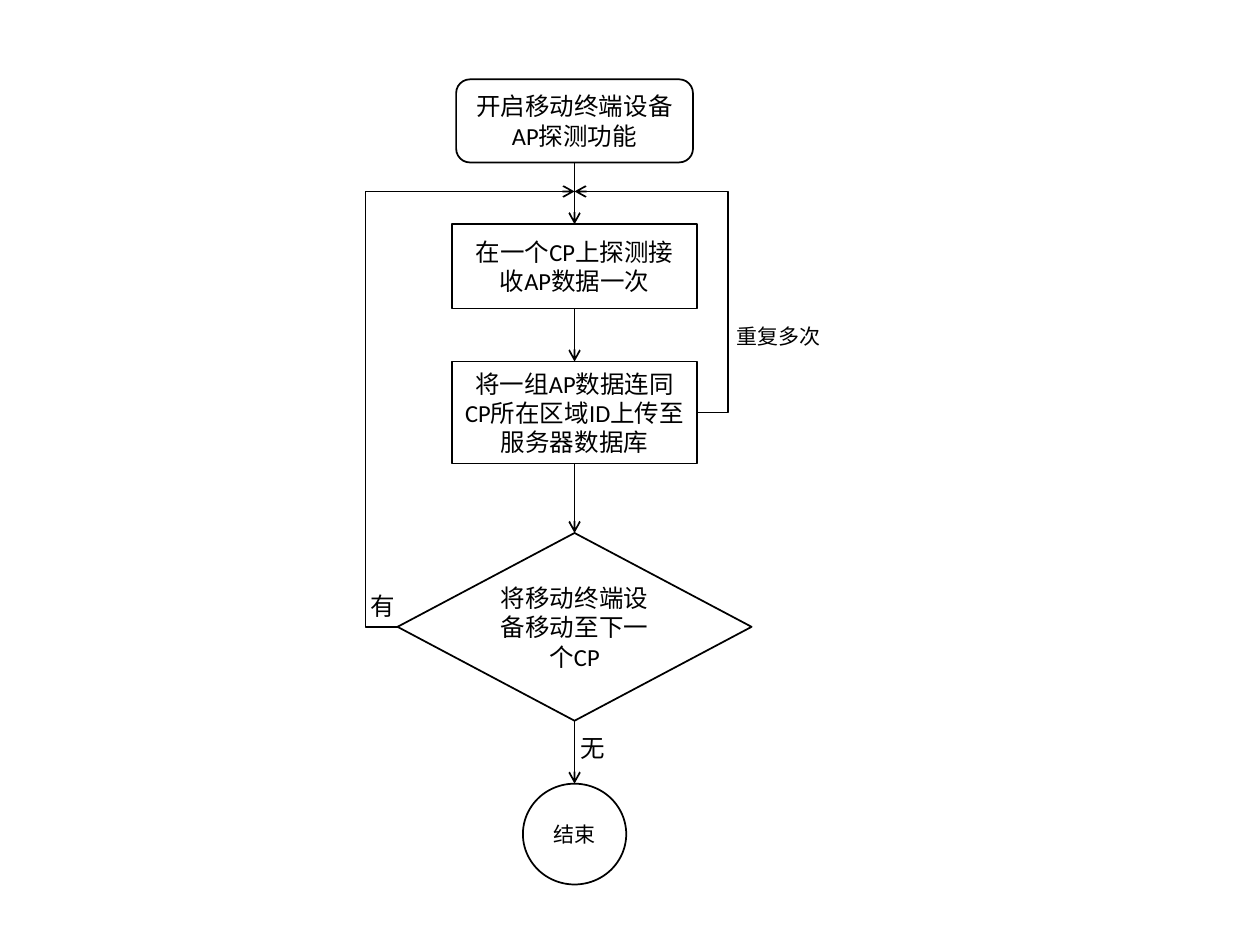
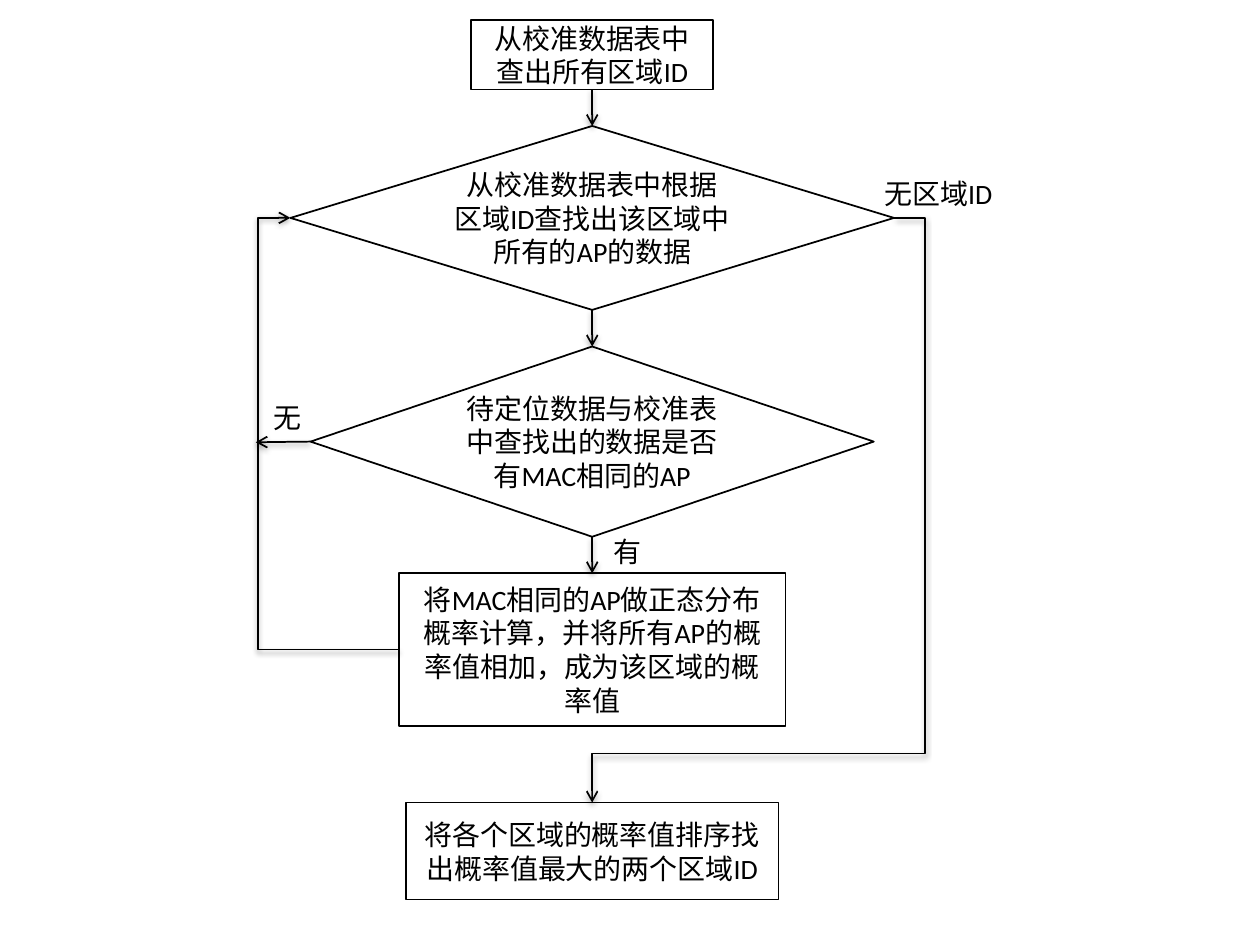
from dataclasses import dataclass
from typing import Optional

from lxml import etree
from pptx import Presentation
from pptx.dml.color import RGBColor
from pptx.enum import shapes, text
from pptx.oxml import ns
from pptx.util import Inches, Pt

COLORS = {"ink": "000000", "paper": "FFFFFF"}
FONT = "Calibri"
KINDS = shapes.MSO_SHAPE
TOP, LEFT, BOTTOM, RIGHT = range(4)


@dataclass(frozen=True)
class Step:
    key: str
    kind: shapes.MSO_SHAPE
    top: float
    width: float
    height: float
    words: str
    size: int


@dataclass(frozen=True)
class Label:
    left: float
    top: float
    width: float
    height: float
    words: str
    size: int


@dataclass(frozen=True)
class Flow:
    start: str
    start_site: int
    end: Optional[str] = None
    end_site: int = TOP
    point: tuple[float, float] = (0, 0)
    bend_x: Optional[float] = None
    bend_y: Optional[float] = None


@dataclass(frozen=True)
class Chart:
    center: float
    shadow: bool
    steps: list[Step]
    flows: list[Flow]
    labels: list[Label]


def color(key: str) -> RGBColor:
    return RGBColor.from_string(COLORS[key])


def write(frame, words: str, *, size: int, align, anchor) -> None:
    frame.word_wrap = True
    frame.vertical_anchor = anchor
    paragraph = frame.paragraphs[0]
    paragraph.alignment = align
    run = paragraph.add_run()
    run.text = words
    run.font.name = FONT
    run.font.size = Pt(size)
    run.font.color.rgb = color("ink")


def draw_step(slide, step: Step, center: float):
    shape = slide.shapes.add_shape(
        step.kind, Inches(center - step.width / 2), Inches(step.top),
        Inches(step.width), Inches(step.height))
    shape.shadow.inherit = False
    shape.fill.solid()
    shape.fill.fore_color.rgb = color("paper")
    shape.line.color.rgb = color("ink")
    shape.line.width = Pt(1)
    write(shape.text_frame, step.words, size=step.size,
          align=text.PP_ALIGN.CENTER, anchor=text.MSO_ANCHOR.MIDDLE)
    return shape


def draw_label(slide, label: Label) -> None:
    box = slide.shapes.add_textbox(
        Inches(label.left), Inches(label.top),
        Inches(label.width), Inches(label.height))
    write(box.text_frame, label.words, size=label.size,
          align=text.PP_ALIGN.LEFT, anchor=text.MSO_ANCHOR.TOP)


def site_point(shape, site: int) -> tuple[int, int]:
    middle_x = shape.left + shape.width // 2
    middle_y = shape.top + shape.height // 2
    return {
        TOP: (middle_x, shape.top),
        LEFT: (shape.left, middle_y),
        BOTTOM: (middle_x, shape.top + shape.height),
        RIGHT: (shape.left + shape.width, middle_y),
    }[site]


def bend(connector, flow: Flow) -> None:
    width = connector.end_x - connector.begin_x
    height = connector.end_y - connector.begin_y
    ratios = [(Inches(flow.bend_x) - connector.begin_x) / width]
    if flow.bend_y is not None:
        ratios.append((Inches(flow.bend_y) - connector.begin_y) / height)
    geometry = connector._element.spPr.find(ns.qn("a:prstGeom"))
    geometry.set("prst", f"bentConnector{len(ratios) + 2}")
    guides = geometry.find(ns.qn("a:avLst"))
    for number, ratio in enumerate(ratios, 1):
        etree.SubElement(guides, ns.qn("a:gd"), name=f"adj{number}",
                         fmla=f"val {round(ratio * 100000)}")


def add_effects(connector, shadow: bool) -> None:
    effects = etree.SubElement(connector._element.spPr, ns.qn("a:effectLst"))
    if shadow:
        outer = etree.SubElement(
            effects, ns.qn("a:outerShdw"), blurRad=str(Pt(3.15)),
            dist=str(Pt(1.57)), dir="5400000", rotWithShape="0")
        tint = etree.SubElement(outer, ns.qn("a:srgbClr"), val=COLORS["ink"])
        etree.SubElement(tint, ns.qn("a:alpha"), val="38000")


def draw_flow(slide, flow: Flow, drawn: dict, shadow: bool) -> None:
    kind = (shapes.MSO_CONNECTOR.STRAIGHT if flow.bend_x is None
            else shapes.MSO_CONNECTOR.ELBOW)
    begin = site_point(drawn[flow.start], flow.start_site)
    if flow.end:
        end = site_point(drawn[flow.end], flow.end_site)
    else:
        end = tuple(Inches(value) for value in flow.point)
    connector = slide.shapes.add_connector(kind, *begin, *end)
    connector.begin_connect(drawn[flow.start], flow.start_site)
    if flow.end:
        connector.end_connect(drawn[flow.end], flow.end_site)
    if flow.bend_x is not None:
        bend(connector, flow)
    connector.line.color.rgb = color("ink")
    connector.line.width = Pt(1)
    etree.SubElement(connector.line._get_or_add_ln(), ns.qn("a:tailEnd"),
                     type="arrow")
    add_effects(connector, shadow)


def draw_chart(presentation, chart: Chart) -> None:
    slide = presentation.slides.add_slide(presentation.slide_layouts[6])
    drawn = {step.key: draw_step(slide, step, chart.center)
             for step in chart.steps}
    for flow in chart.flows:
        draw_flow(slide, flow, drawn, chart.shadow)
    for label in chart.labels:
        draw_label(slide, label)


COLLECTION = Chart(
    center=4.56,
    shadow=False,
    steps=[
        Step("enable", KINDS.ROUNDED_RECTANGLE, 0.63, 1.88, 0.66,
             "开启移动终端设备AP探测功能", 14),
        Step("detect", KINDS.RECTANGLE, 1.78, 1.95, 0.67,
             "在一个CP上探测接收AP数据一次", 14),
        Step("upload", KINDS.RECTANGLE, 2.87, 1.95, 0.81,
             "将一组AP数据连同CP所在区域ID上传至服务器数据库", 14),
        Step("move", KINDS.DIAMOND, 4.23, 2.81, 1.49,
             "将移动终端设备移动至下一个CP", 14),
        Step("finish", KINDS.OVAL, 6.22, 0.82, 0.8, "结束", 12),
    ],
    flows=[
        Flow("enable", BOTTOM, "detect"),
        Flow("detect", BOTTOM, "upload"),
        Flow("upload", BOTTOM, "move"),
        Flow("move", BOTTOM, "finish"),
        Flow("move", LEFT, point=(4.56, 1.52), bend_x=2.9),
        Flow("upload", RIGHT, point=(4.56, 1.52), bend_x=5.78),
    ],
    labels=[
        Label(5.75, 2.52, 0.88, 0.3, "重复多次", 12),
        Label(2.84, 4.64, 0.31, 0.34, "有", 14),
        Label(4.51, 5.77, 0.31, 0.34, "无", 14),
    ],
)

MATCHING = Chart(
    center=4.7,
    shadow=True,
    steps=[
        Step("regions", KINDS.RECTANGLE, 0.16, 1.92, 0.55,
             "从校准数据表中查出所有区域ID", 16),
        Step("lookup", KINDS.DIAMOND, 1, 4.79, 1.46,
             "从校准数据表中根据区域ID查找出该区域中所有的AP的数据", 16),
        Step("compare", KINDS.DIAMOND, 2.75, 4.47, 1.51,
             "待定位数据与校准表中查找出的数据是否有MAC相同的AP", 16),
        Step("probability", KINDS.RECTANGLE, 4.55, 3.07, 1.21,
             "将MAC相同的AP做正态分布概率计算，并将所有AP的概率值相加，"
             "成为该区域的概率值", 16),
        Step("ranking", KINDS.RECTANGLE, 6.37, 2.96, 0.77,
             "将各个区域的概率值排序找出概率值最大的两个区域ID", 16),
    ],
    flows=[
        Flow("regions", BOTTOM, "lookup"),
        Flow("lookup", BOTTOM, "compare"),
        Flow("compare", BOTTOM, "probability"),
        Flow("probability", LEFT, "lookup", LEFT, bend_x=2.05),
        Flow("compare", LEFT, point=(2.03, 3.51)),
        Flow("lookup", RIGHT, "ranking", TOP, bend_x=7.34, bend_y=5.98),
    ],
    labels=[
        Label(6.92, 1.35, 1.09, 0.37, "无区域ID", 16),
        Label(2.07, 3.13, 0.46, 0.37, "无", 16),
        Label(4.77, 4.19, 0.46, 0.37, "有", 16),
    ],
)


def main() -> None:
    presentation = Presentation()
    presentation.slide_width = Inches(10)
    presentation.slide_height = Inches(7.5)
    for chart in (COLLECTION, MATCHING):
        draw_chart(presentation, chart)
    presentation.save("out.pptx")


main()
